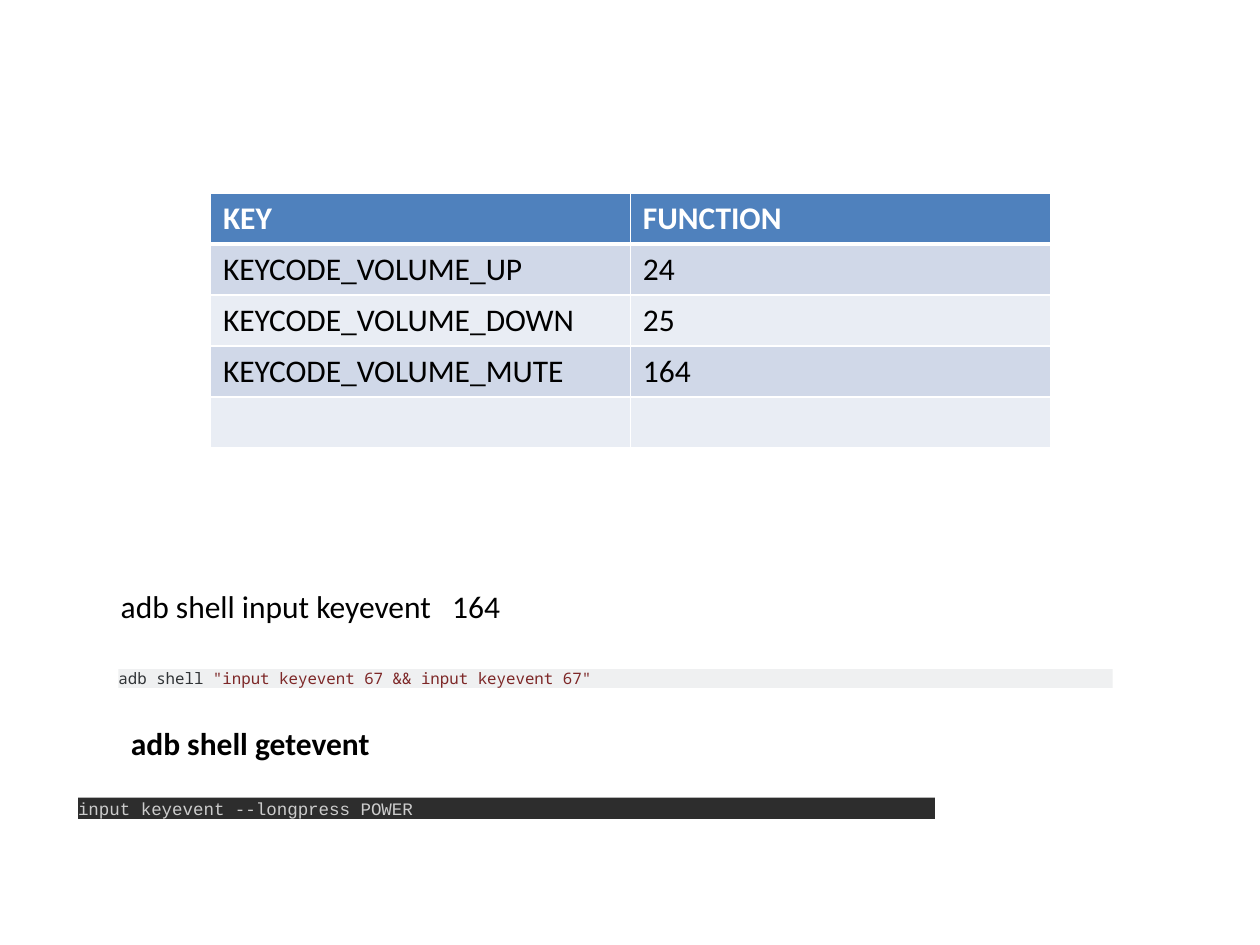
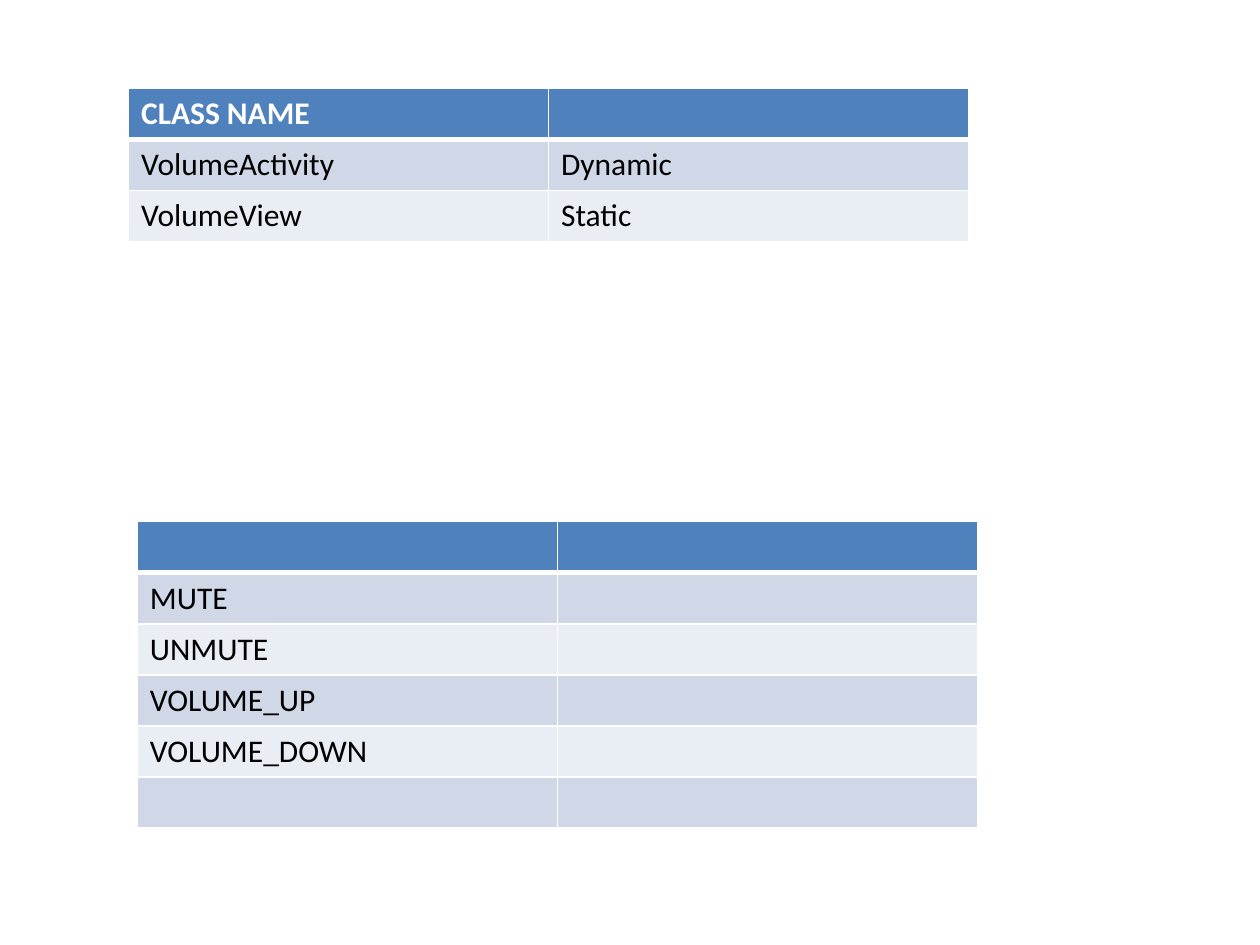
"""Builds two slides about volume key codes, shell commands and classes."""
import dataclasses

import lxml.etree
import pptx
import pptx.dml.color
import pptx.enum.shapes
import pptx.enum.text
import pptx.oxml.ns
import pptx.util


@dataclasses.dataclass(frozen=True)
class Theme:
    """Holds the shared colours, fonts and sizes."""
    header: str = "4F81BD"
    bands: tuple = ("D0D8E8", "E9EDF4")
    white: str = "FFFFFF"
    black: str = "000000"
    font: str = "Calibri"
    body_size: int = 18
    row_height: float = 29.2
    thin: int = 1
    thick: int = 3


THEME = Theme()
SLIDE_WIDTH, SLIDE_HEIGHT = 10, 7.5
TABLE_WIDTH = SLIDE_WIDTH * 2 / 3

SLIDES = [
    {
        "tables": [
            {"at": (1.67, 1.53), "rows": [
                ("KEY", "FUNCTION"),
                ("KEYCODE_VOLUME_UP", "24"),
                ("KEYCODE_VOLUME_DOWN", "25"),
                ("KEYCODE_VOLUME_MUTE", "164"),
                ("", ""),
            ]},
        ],
        "labels": [
            {"at": (0.86, 4.61, 3.25, 0.4), "text": "adb shell input keyevent   164", "bold": False},
            {"at": (0.94, 5.7, 2.11, 0.4), "text": "adb shell getevent", "bold": True},
        ],
        "code_bars": [
            {"at": (0.94, 5.31, 7.89, 0.15), "fill": "EFF0F1", "font": "Noto Sans Mono", "size": 9,
             "runs": [("adb shell ", "303336"),
                      ('"input keyevent 67 && input keyevent 67"', "7D2727")]},
            {"at": (0.62, 6.33, 6.8, 0.17), "fill": "2D2D2D", "font": "Courier New", "size": 10,
             "runs": [("input keyevent --longpress POWER", "CCCCCC")]},
        ],
    },
    {
        "tables": [
            {"at": (1.02, 0.7), "rows": [
                ("CLASS NAME", ""),
                ("VolumeActivity", "Dynamic"),
                ("VolumeView", "Static"),
            ]},
            {"at": (1.09, 4.14), "rows": [
                ("", ""),
                ("MUTE", ""),
                ("UNMUTE", ""),
                ("VOLUME_UP", ""),
                ("VOLUME_DOWN", ""),
                ("", ""),
            ]},
        ],
    },
]


def rgb(color):
    return pptx.dml.color.RGBColor.from_string(color)


def inches(lengths):
    return [pptx.util.Inches(length) for length in lengths]


def add_text(paragraph, text, *, font=THEME.font, size=THEME.body_size, color=THEME.black, bold=False):
    run = paragraph.add_run()
    run.text = text
    run.font.name = font
    run.font.size = pptx.util.Pt(size)
    run.font.bold = bold
    run.font.color.rgb = rgb(color)


def set_borders(cell, top, bottom):
    properties = cell._tc.get_or_add_tcPr()
    widths = {"a:lnL": THEME.thin, "a:lnR": THEME.thin, "a:lnT": top, "a:lnB": bottom}
    for tag, width in widths.items():
        line = lxml.etree.SubElement(
            properties, pptx.oxml.ns.qn(tag), w=str(pptx.util.Pt(width)))
        fill = lxml.etree.SubElement(line, pptx.oxml.ns.qn("a:solidFill"))
        lxml.etree.SubElement(fill, pptx.oxml.ns.qn("a:srgbClr"), val=THEME.white)


def add_table(slide, at, rows):
    row_height = pptx.util.Pt(THEME.row_height)
    left, top, width = inches((*at, TABLE_WIDTH))
    table = slide.shapes.add_table(
        len(rows), len(rows[0]), left, top, width, row_height * len(rows)).table
    for row_index, texts in enumerate(rows):
        table.rows[row_index].height = row_height
        is_header = row_index == 0
        for column_index, text in enumerate(texts):
            cell = table.cell(row_index, column_index)
            set_borders(cell,
                        top=THEME.thick if row_index == 1 else THEME.thin,
                        bottom=THEME.thick if is_header else THEME.thin)
            cell.fill.solid()
            cell.fill.fore_color.rgb = rgb(
                THEME.header if is_header else THEME.bands[(row_index - 1) % 2])
            if text:
                add_text(cell.text_frame.paragraphs[0], text, bold=is_header,
                         color=THEME.white if is_header else THEME.black)


def add_label(slide, at, text, bold):
    frame = slide.shapes.add_textbox(*inches(at)).text_frame
    frame.word_wrap = False
    frame.auto_size = pptx.enum.text.MSO_AUTO_SIZE.SHAPE_TO_FIT_TEXT
    add_text(frame.paragraphs[0], text, bold=bold)


def add_code_bar(slide, at, fill, font, size, runs):
    shape = slide.shapes.add_shape(
        pptx.enum.shapes.MSO_SHAPE.RECTANGLE, *inches(at))
    shape.shadow.inherit = False
    shape.fill.solid()
    shape.fill.fore_color.rgb = rgb(fill)
    shape.line.fill.background()
    frame = shape.text_frame
    frame.margin_left = frame.margin_right = frame.margin_top = frame.margin_bottom = 0
    frame.word_wrap = True
    frame.auto_size = pptx.enum.text.MSO_AUTO_SIZE.SHAPE_TO_FIT_TEXT
    frame.vertical_anchor = pptx.enum.text.MSO_ANCHOR.MIDDLE
    paragraph = frame.paragraphs[0]
    paragraph.alignment = pptx.enum.text.PP_ALIGN.LEFT
    for text, color in runs:
        add_text(paragraph, text, font=font, size=size, color=color)


def main():
    presentation = pptx.Presentation()
    presentation.slide_width, presentation.slide_height = inches((SLIDE_WIDTH, SLIDE_HEIGHT))
    builders = {"tables": add_table, "labels": add_label, "code_bars": add_code_bar}
    for content in SLIDES:
        slide = presentation.slides.add_slide(presentation.slide_layouts[6])
        for kind, items in content.items():
            for item in items:
                builders[kind](slide, **item)
    presentation.save("out.pptx")


if __name__ == "__main__":
    main()
